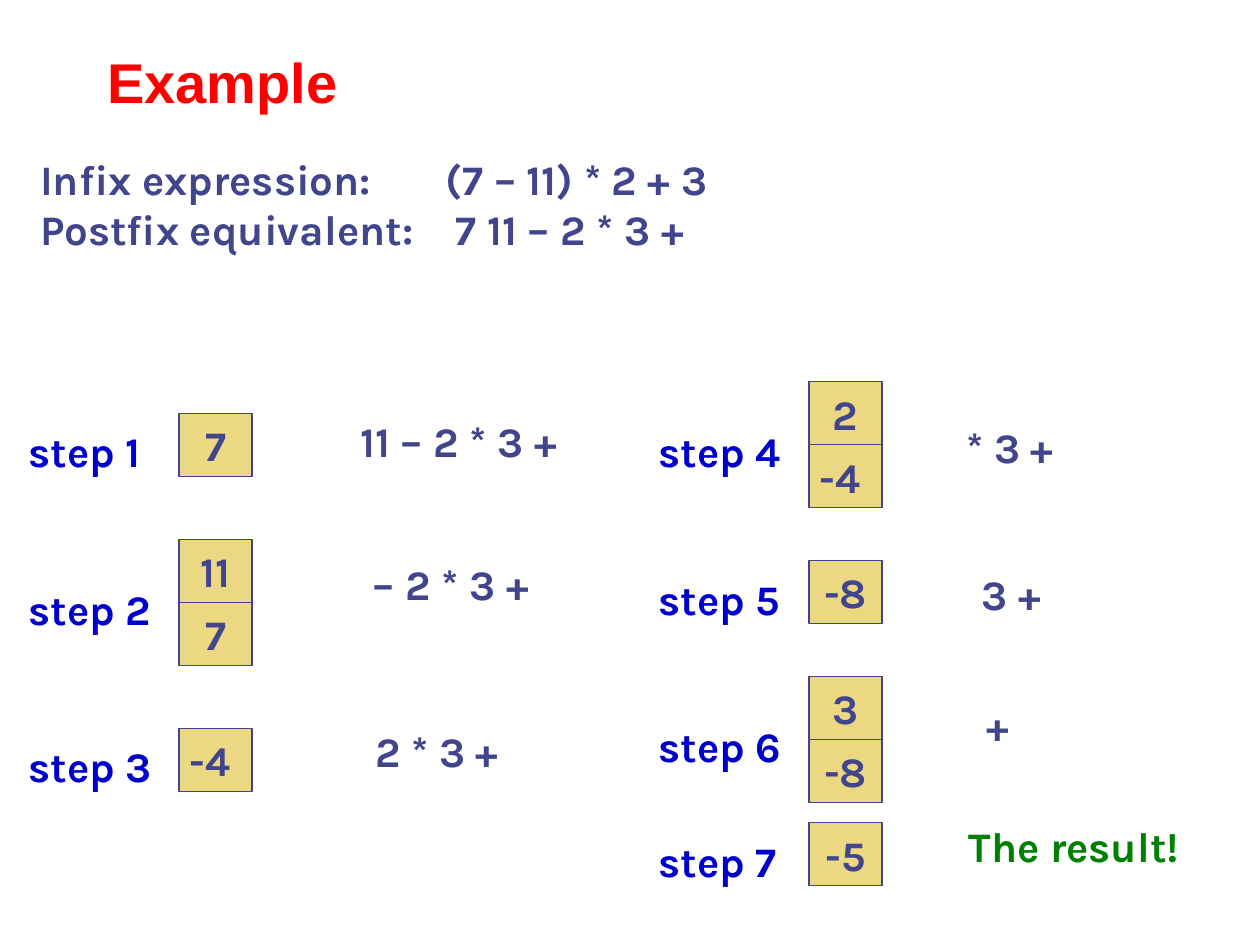
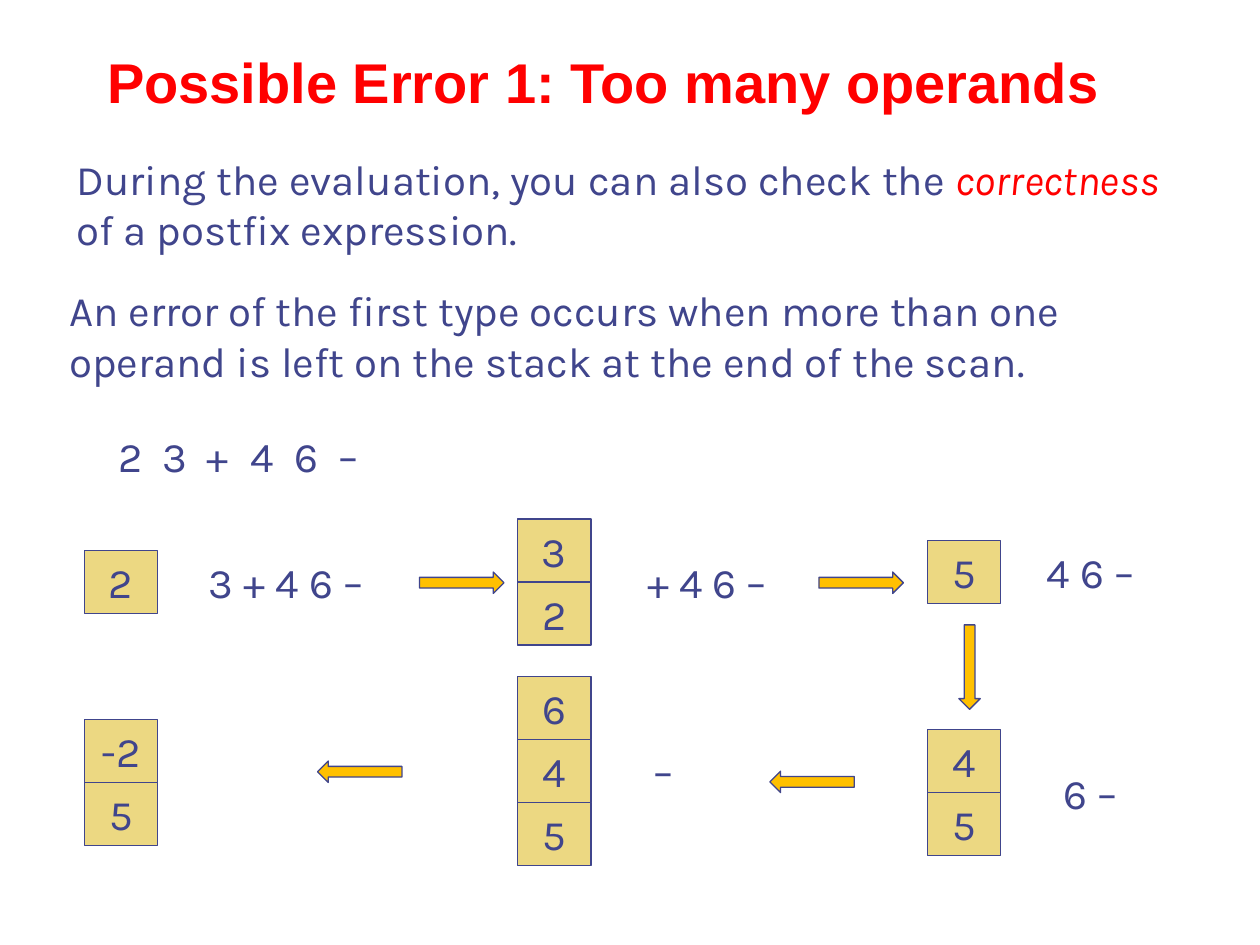
import pptx
import pptx.util
import pptx.dml.color
import pptx.enum.shapes
import pptx.enum.text
import pptx.oxml.ns
import lxml.etree

PX = 9144  # one hundred px to the inch
NAVY, BLUE, RED, GREEN = "40458C", "0000CC", "FF0000", "008000"
SAND, AMBER = "ECD882", "FFC000"
CELL_W, CELL_H = 58, 50
LINE_H = 40
SHAPE = pptx.enum.shapes.MSO_SHAPE
ALIGN = pptx.enum.text.PP_ALIGN
ANCHOR = pptx.enum.text.MSO_ANCHOR
SIZING = pptx.enum.text.MSO_AUTO_SIZE


def px(*sizes):
    return [pptx.util.Emu(size * PX) for size in sizes]


def rgb(ink):
    return pptx.dml.color.RGBColor.from_string(ink)


def write(para, text, ink=NAVY, bold=False, italic=False, face="Karla", size=24):
    run = para.add_run()
    run.text = text
    font = run.font
    font.name, font.size = face, pptx.util.Pt(size)
    font.bold, font.italic = bold, italic
    font.color.rgb = rgb(ink)


def set_tabs(para, stops):
    props = para._p.get_or_add_pPr()
    tabs = lxml.etree.SubElement(props, pptx.oxml.ns.qn("a:tabLst"))
    for stop in stops:
        lxml.etree.SubElement(tabs, pptx.oxml.ns.qn("a:tab"),
                              pos=str(stop * PX), algn="l")


def add_page(deck, title):
    slide = deck.slides.add_slide(deck.slide_layouts[5])
    head = slide.shapes.title
    head.left, head.top, head.width, head.height = px(75, 33, 850, 117)
    frame = head.text_frame
    frame.auto_size = SIZING.NONE
    frame.vertical_anchor = ANCHOR.TOP
    para = frame.paragraphs[0]
    para.alignment = ALIGN.LEFT
    write(para, title, RED, bold=True, face="Arial", size=32)
    return slide


def add_note(slide, x, y, width, *lines, ink=NAVY, bold=False, stops=None):
    """Each line is a string or a list of (text, ink, italic) runs.

    stops holds one list of tab stops for each line.
    """
    box = slide.shapes.add_textbox(*px(x, y, width, 10 + LINE_H * len(lines)))
    frame = box.text_frame
    frame.word_wrap = bool(stops)
    frame.auto_size = SIZING.SHAPE_TO_FIT_TEXT
    for i, line in enumerate(lines):
        para = frame.add_paragraph() if i else frame.paragraphs[0]
        if stops:
            set_tabs(para, stops[i])
        runs = [(line, ink, False)] if isinstance(line, str) else line
        for text, shade, italic in runs:
            write(para, text, shade, bold, italic)


def add_block(slide, kind, x, y, width, height, fill):
    block = slide.shapes.add_shape(kind, *px(x, y, width, height))
    block.shadow.inherit = False
    block.fill.solid()
    block.fill.fore_color.rgb = rgb(fill)
    block.line.color.rgb = rgb(NAVY)
    block.line.width = pptx.util.Pt(0.75)
    return block


def add_stack(slide, x, y, values, bold=False):
    """Draw the stack with its top value first."""
    for i, value in enumerate(values):
        cell = add_block(slide, SHAPE.RECTANGLE, x, y + i * CELL_H,
                         CELL_W, CELL_H, SAND)
        frame = cell.text_frame
        frame.word_wrap = False
        frame.vertical_anchor = ANCHOR.MIDDLE
        para = frame.paragraphs[0]
        para.alignment = ALIGN.CENTER
        write(para, value, bold=bold)


def add_arrow(slide, x, y, turn=0):
    arrow = add_block(slide, SHAPE.RIGHT_ARROW, x, y, 67, 17, AMBER)
    arrow.rotation = turn


def build_steps(deck):
    slide = add_page(deck, "Example")
    add_note(slide, 22, 117, 580,
             "Infix expression:\t(7 – 11) * 2 + 3",
             "Postfix equivalent:\t7 11 – 2 * 3 +",
             bold=True, stops=[[322], [330]])
    # label x and y, stack y and values, then x, y, width, text and ink of the rest
    steps = [
        (13, 333, 328, ["7"], 276, 325, 202, "11 – 2 * 3 +", NAVY),
        (13, 458, 428, ["11", "7"], 286, 438, 155, "– 2 * 3 +", NAVY),
        (13, 583, 578, ["-4 "], 288, 571, 130, "2 * 3 +", NAVY),
        (513, 333, 303, ["2", "-4 "], 757, 330, 102, "* 3 +", NAVY),
        (513, 450, 445, ["-8"], 769, 446, 75, "3 +", NAVY),
        (513, 567, 537, ["3", "-8"], 773, 550, 47, "+", NAVY),
        (513, 658, 653, ["-5"], 759, 646, 197, "The result!", GREEN),
    ]
    for i, (x, y, top, values, rest_x, rest_y, width, rest, ink) in enumerate(steps, 1):
        # Labels keep one left edge, whatever the width of their digit
        add_note(slide, x, y, 119, f"step {i}", ink=BLUE, bold=True, stops=[[119]])
        add_stack(slide, x + 129, top, values, bold=True)
        add_note(slide, rest_x, rest_y, width, rest, ink=ink, bold=True)


def build_error(deck):
    slide = add_page(deck, "Possible Error 1: Too many operands")
    add_note(slide, 51, 117, 915,
             [("During the evaluation, you can also check the ", NAVY, False),
              ("correctness", RED, True)],
             "of a postfix expression.")
    add_note(slide, 45, 221, 855,
             "An error of the first type occurs when more than one",
             "operand is left on the stack at the end of the scan.")
    tokens = ["2", "3", "+", "4", "6", "–"]
    add_note(slide, 84, 337, 244, "\t".join(tokens),
             stops=[[35 * i for i in range(1, len(tokens))]])
    left, middle, right = 67, 411, 736
    for x, y, values in [
        (left, 437, ["2"]),
        (middle, 412, ["3", "2"]),
        (right, 429, ["5"]),
        (right, 579, ["4", "5"]),
        (middle, 537, ["6", "4", "5"]),
        (left, 571, ["-2", "5"]),
    ]:
        add_stack(slide, x, y, values)
    for x, y, width, rest in [
        (156, 437, 165, "3 + 4 6 –"),
        (504, 437, 128, "+ 4 6 –"),
        (821, 429, 109, "4 6 –"),
        (834, 604, 73, "6 –"),
        (509, 587, 46, "–"),
    ]:
        add_note(slide, x, y, width, rest)
    for x, y, turn in [(333, 454, 0), (650, 454, 0), (736, 521, 90),
                       (611, 612, 180), (252, 604, 180)]:
        add_arrow(slide, x, y, turn)


def main():
    deck = pptx.Presentation()
    deck.slide_width, deck.slide_height = px(1000, 750)
    build_steps(deck)
    build_error(deck)
    deck.save("out.pptx")


if __name__ == "__main__":
    main()
